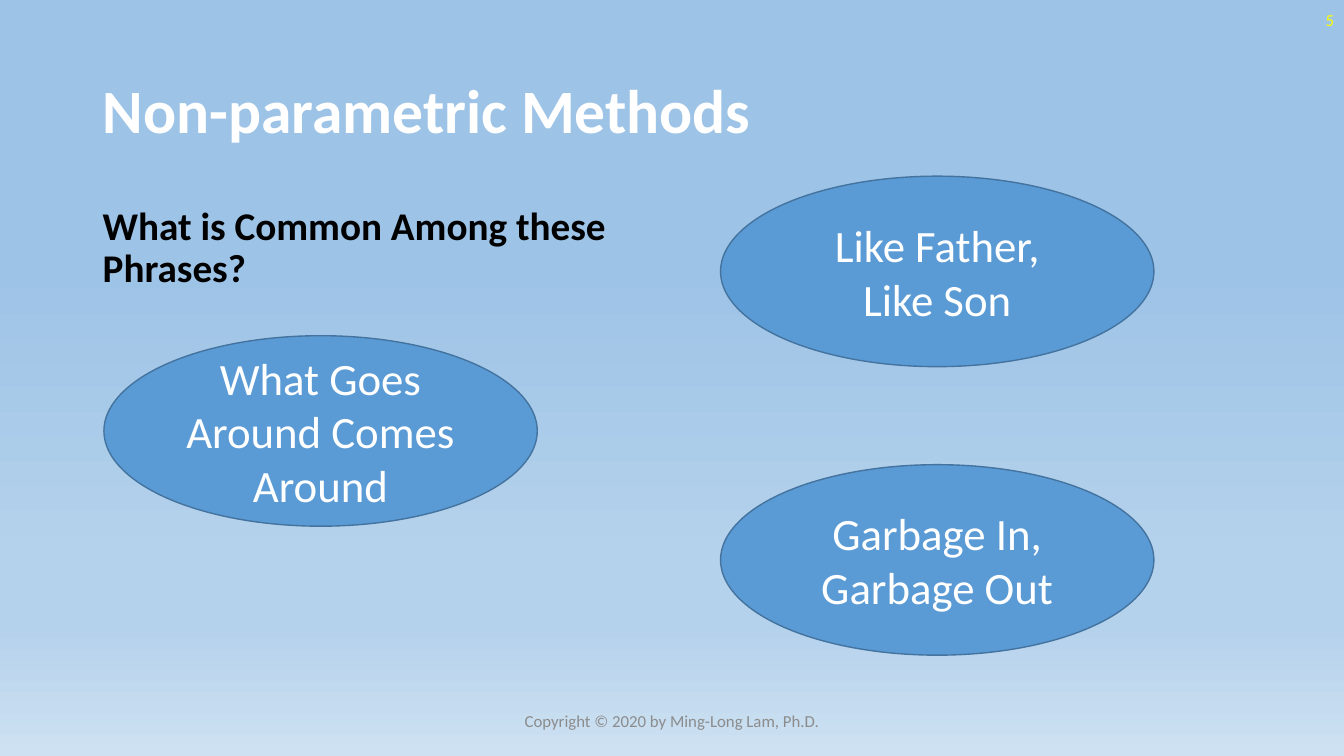
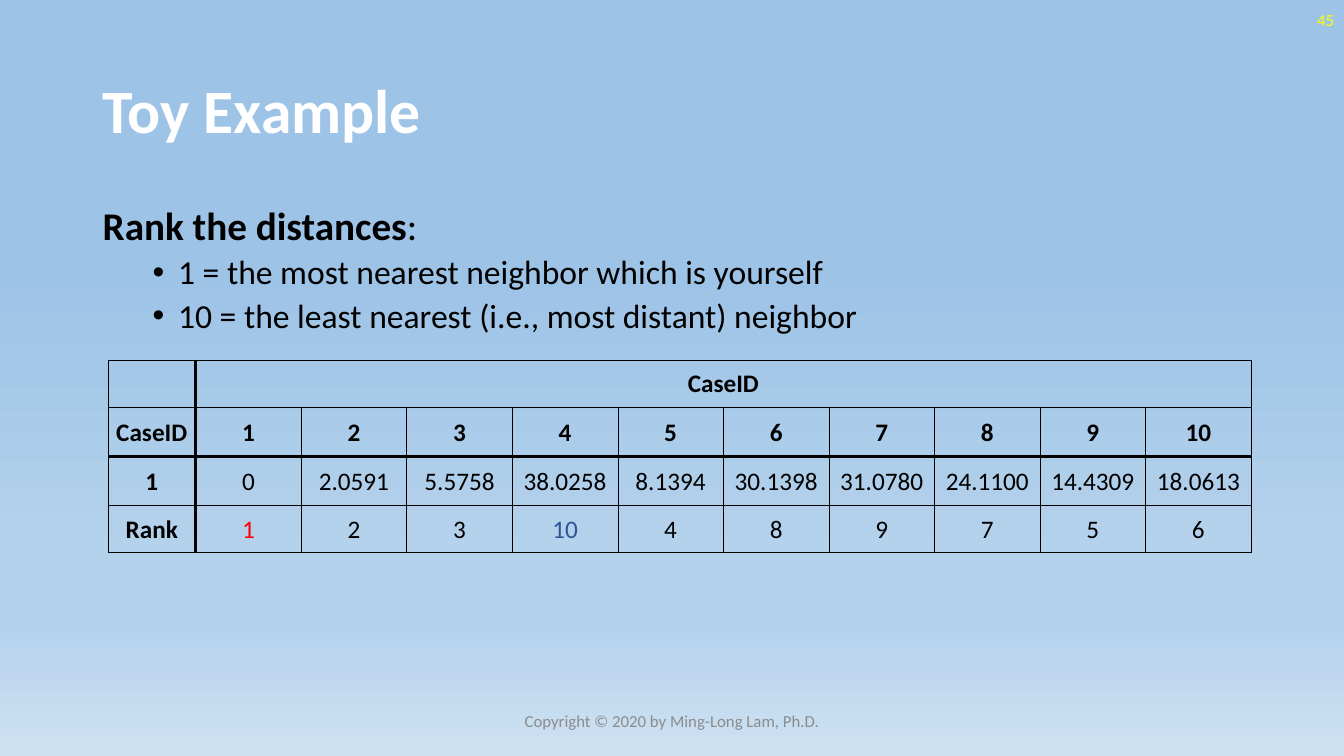
"""Build two slides on non-parametric methods: phrases and a ranking example."""
from copy import deepcopy
from dataclasses import dataclass

from lxml.etree import SubElement as Sub
from pptx import Presentation
from pptx.dml.color import RGBColor as RGB
from pptx.enum.shapes import MSO_SHAPE as Kind
from pptx.enum.text import MSO_ANCHOR as Anchor, PP_ALIGN as Align
from pptx.oxml.ns import qn
from pptx.util import Cm, Pt

WHITE = RGB(0xFF, 0xFF, 0xFF)
BLACK = RGB(0x00, 0x00, 0x00)
YELLOW = RGB(0xFF, 0xFF, 0x00)
GRAY = RGB(0x8C, 0x8C, 0x8C)
RED = RGB(0xFF, 0x00, 0x00)
NAVY = RGB(0x2F, 0x55, 0x97)
BLUE = RGB(0x5B, 0x9B, 0xD5)
EDGE = RGB(0x43, 0x73, 0x9E)
SKY = RGB(0x9D, 0xC3, 0xE6)
PALE = RGB(0xB5, 0xD2, 0xEC)
MIST = RGB(0xCE, 0xE1, 0xF2)

STOPS = [(0.35, SKY), (0.74, PALE), (0.83, PALE), (1, MIST)]
FONT = "Calibri"
WIDE, HIGH = 33.87, 19.05
LEFT, SPAN = 2.34, 29.21
THIN, THICK = Pt(0.5), Pt(2)
NOTE = "Copyright © 2020 by Ming-Long Lam, Ph.D."


@dataclass(frozen=True)
class Box:
    left: float
    top: float
    width: float
    height: float

    def place(self) -> tuple:
        return Cm(self.left), Cm(self.top), Cm(self.width), Cm(self.height)


@dataclass(frozen=True)
class Style:
    size: float
    color: RGB
    bold: bool = False
    align: Align = Align.LEFT
    lines: float = 1.0
    before: float = 0


@dataclass(frozen=True)
class Phrase:
    text: str
    left: float
    top: float


TITLE = Style(44, WHITE, True, lines=0.9)
HEAD = Style(28, BLACK, True, lines=0.9)
ITEM = Style(24, BLACK, lines=0.9, before=5)
PAGE = Style(12, YELLOW, align=Align.RIGHT)
FOOT = Style(12, GRAY, align=Align.CENTER)
OVAL = Style(32, WHITE, align=Align.CENTER)

PHRASES = [
    Phrase("What Goes Around Comes Around", 2.62, 8.46),
    Phrase("Like Father,\nLike Son", 18.16, 4.44),
    Phrase("Garbage In,\nGarbage Out", 18.16, 11.71),
]
ITEMS = [
    "1 = the most nearest neighbor which is yourself",
    "10 = the least nearest (i.e., most distant) neighbor",
]
GRID = [
    ["", "CaseID"] + [""] * 9,
    ["CaseID"] + [str(n) for n in range(1, 11)],
    ["1", "0", "2.0591", "5.5758", "38.0258", "8.1394", "30.1398",
     "31.0780", "24.1100", "14.4309", "18.0613"],
    ["Rank", "1", "2", "3", "10", "4", "8", "9", "7", "5", "6"],
]
TINTS = {(3, 1): RED, (3, 4): NAVY}


def apply(para, style: Style) -> None:
    para.alignment = style.align
    para.line_spacing = style.lines
    if style.before:
        para.space_before = Pt(style.before)
    font = para.font
    font.name, font.size, font.bold = FONT, Pt(style.size), style.bold
    font.color.rgb = style.color


def write(slide, box: Box, text: str, style: Style, anchor=Anchor.MIDDLE):
    frame = slide.shapes.add_textbox(*box.place()).text_frame
    frame.word_wrap = True
    frame.vertical_anchor = anchor
    para = frame.paragraphs[0]
    para.text = text
    apply(para, style)
    return frame


def paint(master) -> None:
    fill = master.background.fill
    fill.gradient()
    fill.gradient_angle = 270
    stops = master.element.find(f".//{qn('p:bg')}//{qn('a:gsLst')}")
    for _ in STOPS[2:]:
        stops.append(deepcopy(stops[0]))
    for stop, (spot, color) in zip(fill.gradient_stops, STOPS):
        stop.position = spot
        stop.color.rgb = color


def start(deck, title: str, page: int):
    slide = deck.slides.add_slide(deck.slide_layouts[6])
    write(slide, Box(LEFT, 1.02, SPAN, 3.68), title, TITLE)
    write(slide, Box(WIDE - 7.62, 0, 7.62, 1.02), str(page), PAGE)
    write(slide, Box((WIDE - 11.43) / 2, 17.65, 11.43, 1.02), NOTE, FOOT)
    return slide


def body(slide, text: str, width: float):
    return write(slide, Box(LEFT, 5.08, width, 12.09), text, HEAD, Anchor.TOP)


def oval(slide, phrase: Phrase) -> None:
    box = Box(phrase.left, phrase.top, 10.92, 4.8)
    shape = slide.shapes.add_shape(Kind.OVAL, *box.place())
    shape.shadow.inherit = False
    shape.fill.solid()
    shape.fill.fore_color.rgb = BLUE
    shape.line.color.rgb = EDGE
    shape.line.width = Pt(1)
    frame = shape.text_frame
    frame.word_wrap = True
    frame.vertical_anchor = Anchor.MIDDLE
    frame.paragraphs[0].text = phrase.text
    apply(frame.paragraphs[0], OVAL)


def bullet(frame, text: str) -> None:
    para = frame.add_paragraph()
    para.text = text
    para.level = 1
    props = para._p.get_or_add_pPr()
    props.set("marL", str(Cm(1.9)))
    props.set("indent", str(-Cm(0.64)))
    Sub(props, qn("a:buFont"), typeface="Arial")
    Sub(props, qn("a:buChar"), char="•")
    apply(para, ITEM)


def border(cell, row: int, col: int) -> None:
    props = cell._tc.get_or_add_tcPr()
    heavy = {"L": col == 1, "R": col == 0, "T": row == 2, "B": row == 1}
    for side, thick in heavy.items():
        line = Sub(props, qn(f"a:ln{side}"), w=str(THICK if thick else THIN))
        Sub(Sub(line, qn("a:solidFill")), qn("a:srgbClr"), val=str(BLACK))


def table(slide) -> None:
    box = Box(2.72, 9.07, 28.81, 4.86)
    grid = slide.shapes.add_table(len(GRID), len(GRID[0]), *box.place()).table
    grid.first_row = grid.horz_banding = False
    for col, part in enumerate(grid.columns):
        part.width = Cm(2.66 if col else 2.21)
    for row, part in enumerate(grid.rows):
        part.height = Cm(1.24 if row in (1, 2) else 1.19)
    for row, texts in enumerate(GRID):
        for col, text in enumerate(texts):
            cell = grid.cell(row, col)
            border(cell, row, col)
            cell.fill.background()
            cell.vertical_anchor = Anchor.MIDDLE
            cell.margin_left = cell.margin_right = cell.margin_top = Cm(0.03)
            cell.margin_bottom = 0
            para = cell.text_frame.paragraphs[0]
            para.text = text
            tint = TINTS.get((row, col), BLACK)
            apply(para, Style(18, tint, row < 2 or col == 0, Align.CENTER))
    grid.cell(0, 1).merge(grid.cell(0, len(GRID[0]) - 1))


def main() -> None:
    deck = Presentation()
    deck.slide_width, deck.slide_height = Cm(WIDE), Cm(HIGH)
    paint(deck.slide_master)

    slide = start(deck, "Non-parametric Methods", 5)
    body(slide, "What is Common Among these Phrases?", 15.04)
    for phrase in PHRASES:
        oval(slide, phrase)

    slide = start(deck, "Toy Example", 45)
    frame = body(slide, "Rank the distances", SPAN)
    colon = frame.paragraphs[0].add_run()
    colon.text = ":"
    colon.font.bold = False
    for text in ITEMS:
        bullet(frame, text)
    table(slide)

    deck.save("out.pptx")


if __name__ == "__main__":
    main()
